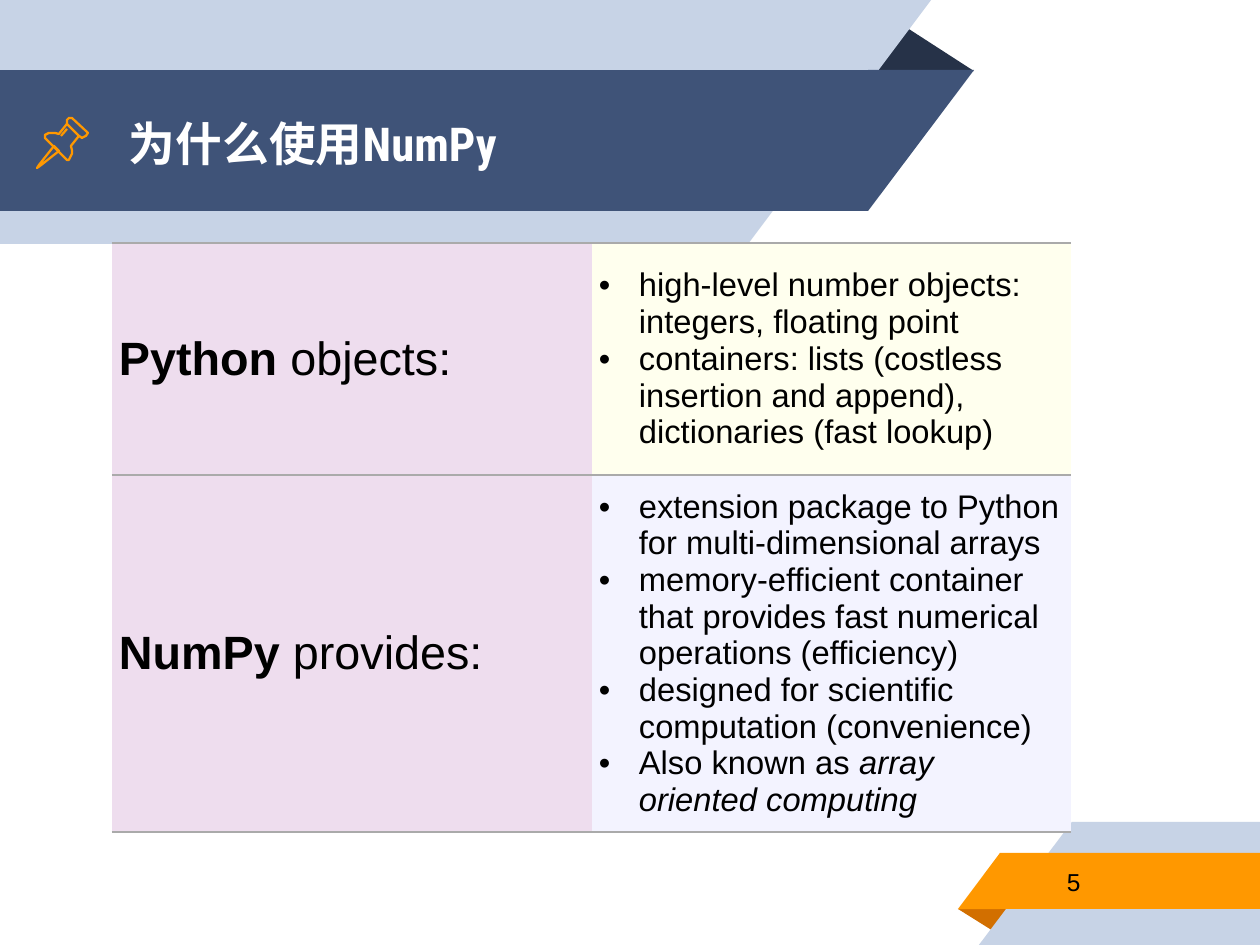
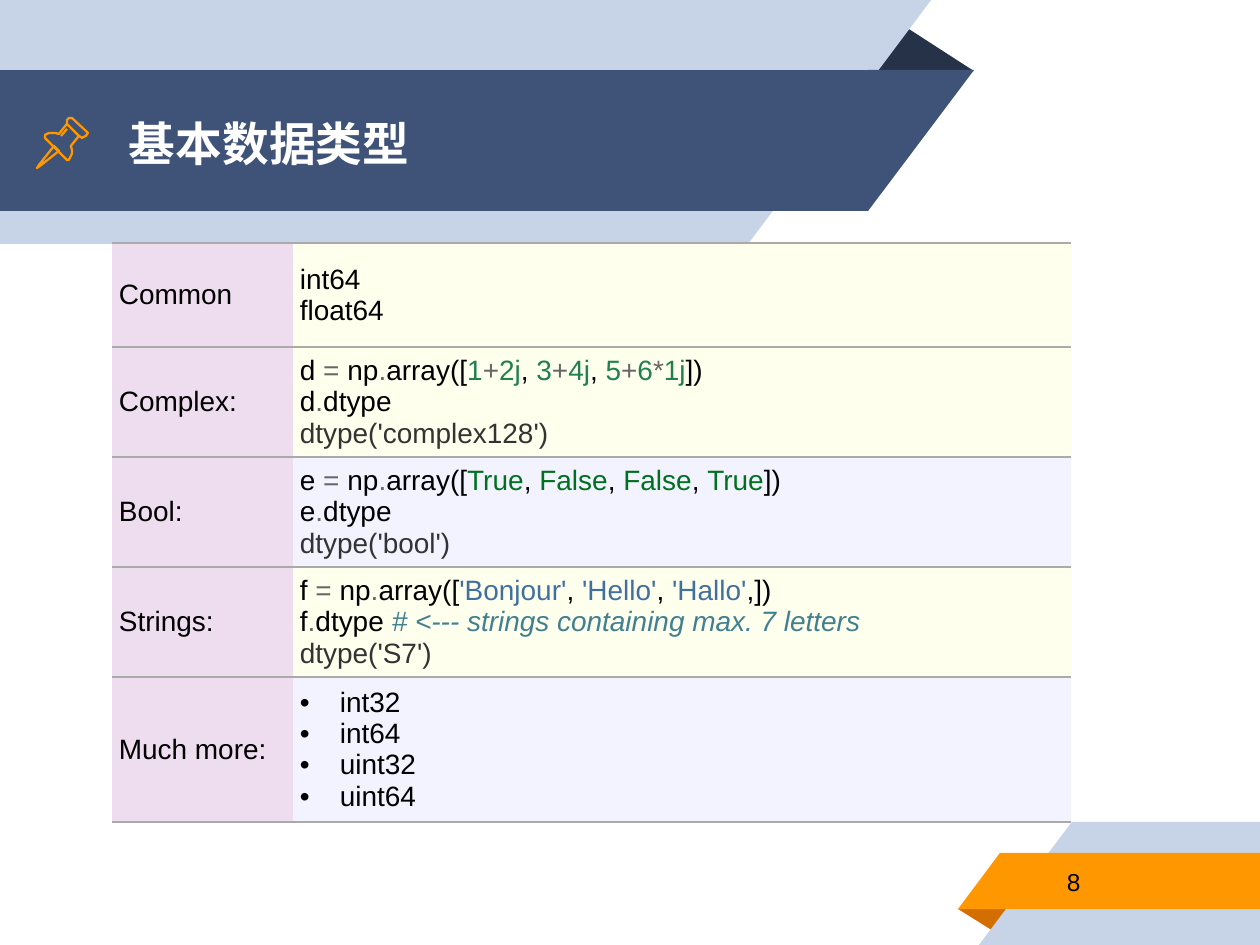
from dataclasses import dataclass, field
from itertools import groupby

from lxml import etree
from pptx import Presentation
from pptx import util as u
from pptx.dml.color import RGBColor
from pptx.enum import shapes, text
from pptx.oxml import ns

SCALE = 914400 / 168
WIDE, HIGH = 1260, 945
KIND = shapes.MSO_SHAPE


@dataclass(frozen=True)
class Theme:
    pale: str = "C7D3E6"
    navy: str = "3F5378"
    night: str = "263248"
    gold: str = "FF9800"
    rust: str = "D26F00"
    white: str = "FFFFFF"
    black: str = "000000"
    rule: str = "AAAAAA"
    pink: str = "EEDDEE"
    cream: str = "FFFFEE"
    lilac: str = "F3F3FF"
    head: str = "Roboto Condensed"
    body: str = "Arial"
    title: float = 20
    large: float = 14
    small: float = 12
    page: float = 10.5
    styles: dict = field(default_factory=lambda: {
        "bold": dict(bold=True),
        "slant": dict(slant=True),
        "sign": dict(color="666666"),
        "num": dict(color="208050"),
        "key": dict(color="007020"),
        "quote": dict(color="4070A0"),
        "out": dict(color="333333"),
        "note": dict(color="408090", slant=True),
    })


T = Theme()


def px(n):
    return u.Emu(round(n * SCALE))


def rgb(code):
    return RGBColor.from_string(code)


def write(frame, lines, size, font=T.body, color=T.black, bold=False,
          slant=False, bullet=False, inset=(17, 17, 17, 17)):
    """Fill a frame; a line is a string or a list of strings and (text, style) pairs."""
    frame.word_wrap = True
    for i, line in enumerate(lines):
        para = frame.paragraphs[0] if i == 0 else frame.add_paragraph()
        if bullet:
            props = para._p.get_or_add_pPr()
            props.set("marL", str(px(40)))
            props.set("indent", str(-px(40)))
            etree.SubElement(props, ns.qn("a:buFont"), typeface=T.body)
            etree.SubElement(props, ns.qn("a:buChar"), char="•")
        for part in [line] if isinstance(line, str) else line:
            words, style = (part, None) if isinstance(part, str) else part
            look = dict(color=color, bold=bold, slant=slant)
            look.update(T.styles.get(style, {}))
            run = para.add_run()
            run.text = words
            run.font.name, run.font.size = font, u.Pt(size)
            run.font.bold, run.font.italic = look["bold"], look["slant"]
            run.font.color.rgb = rgb(look["color"])
    return inset


def label(slide, box, words, **look):
    shape = slide.shapes.add_textbox(*map(px, box))
    frame = shape.text_frame
    left, top, right, low = write(frame, [words], **look)
    frame.margin_left, frame.margin_top = px(left), px(top)
    frame.margin_right, frame.margin_bottom = px(right), px(low)
    frame.vertical_anchor = text.MSO_ANCHOR.MIDDLE


def block(slide, kind, box, color, turn=0, flip=False, peak=None):
    shape = slide.shapes.add_shape(kind, *map(px, box))
    shape.shadow.inherit = False
    shape.fill.solid()
    shape.fill.fore_color.rgb = rgb(color)
    shape.line.fill.background()
    shape.rotation = turn
    if flip:
        shape.element.spPr.xfrm.set("flipH", "1")
    if peak is not None:
        shape.adjustments[0] = peak


def band(slide, box, slope, color, top):
    """Bar with one slanted end: at the right if it hangs from the top, else at the left."""
    x, y, w, h = box
    turn = 180 if top else 0
    flat, tip = (x, x + w - slope) if top else (x + slope, x)
    block(slide, KIND.RECTANGLE, (flat, y, w - slope, h), color, turn, True)
    block(slide, KIND.RIGHT_TRIANGLE, (tip, y, slope, h), color, turn, True)


def pin(slide, x, y):
    needle = [(17, 29), (2, 48), (0, 51), (3, 49), (22, 34)]
    cap = [(30, 7), (42, 19), (45, 21), (49, 19), (51, 16), (50, 15),
           (35, 1), (32, 1), (30, 3)]
    body = [(30, 7), (22, 17), (18, 16), (12, 16), (8, 18), (8, 21),
            (30, 43), (32, 43), (35, 37), (35, 33), (34, 29), (42, 19)]
    glint = [(24, 19), (30, 12)]
    for dots, close in (needle, True), (cap, True), (body, False), (glint, False):
        pen = slide.shapes.build_freeform(*dots[0], scale=SCALE)
        pen.add_line_segments(dots[1:], close=close)
        shape = pen.convert_to_shape(px(x), px(y))
        shape.shadow.inherit = False
        shape.fill.background()
        shape.line.color.rgb = rgb(T.gold)
        shape.line.width = u.Pt(0.96)


def header(slide, box, words):
    x, y, w, h = box
    block(slide, KIND.ISOSCELES_TRIANGLE, (x + w - 107, y + 24, 107, 47),
          T.night, peak=0.32)
    band(slide, (x, y, w - 43, h), 183, T.pale, True)
    band(slide, (x, y + 70, w, 141), 106, T.navy, True)
    pin(slide, x + 37, y + 117)
    label(slide, (x + 112, y + 72, 756, 141), words, size=T.title,
          font=T.head, color=T.white, bold=True)


def footer(slide, box, page):
    x, y, w, h = box
    block(slide, KIND.ISOSCELES_TRIANGLE, (x, y + 87, 54, 23), T.rust,
          turn=180, peak=0.32)
    band(slide, (x + 21, y, w - 21, h), 93, T.pale, False)
    band(slide, (x, y + 31, w, 56), 42, T.gold, False)
    label(slide, (x + 92, y + 30, 205, 59), page, size=T.page)


def edge(cell):
    """Rule a cell above and below only."""
    props = cell._tc.get_or_add_tcPr()
    for side in "LRTB":
        line = etree.SubElement(props, ns.qn("a:ln" + side), w=str(u.Pt(0.75)))
        if side in "LR":
            etree.SubElement(line, ns.qn("a:noFill"))
        else:
            fill = etree.SubElement(line, ns.qn("a:solidFill"))
            etree.SubElement(fill, ns.qn("a:srgbClr"), val=T.rule)


def fill_cell(cell, lines, color, **look):
    edge(cell)
    cell.fill.solid()
    cell.fill.fore_color.rgb = rgb(color)
    cell.vertical_anchor = text.MSO_ANCHOR.MIDDLE
    left, top, right, low = write(cell.text_frame, lines,
                                  inset=(7, 2, 10, 2), **look)
    cell.margin_left, cell.margin_top = px(left), px(top)
    cell.margin_right, cell.margin_bottom = px(right), px(low)


def grid(slide, box, first, rows, sizes):
    """Two columns; a row is (height, name, lines, colour, bullet)."""
    frame = slide.shapes.add_table(len(rows), 2, *map(px, box))
    table = frame.table
    table.first_row = table.horz_banding = False
    for col, wide in zip(table.columns, (first, box[2] - first)):
        col.width = px(wide)
    for i, (high, name, lines, color, bullet) in enumerate(rows):
        table.rows[i].height = px(high)
        fill_cell(table.cell(i, 0), [name], T.pink, size=sizes[0])
        fill_cell(table.cell(i, 1), lines, color, size=sizes[1], bullet=bullet)


def sums(words):
    """Split a sum into numbers and signs."""
    return [("".join(run), "sign" if sign else "num")
            for sign, run in groupby(words, lambda c: c in "+*")]


def code(var, items, kind, close="])", note=()):
    """Lines that make an array, ask for its type and show the reply."""
    make = [var + " ", ("= ", "sign"), "np", (".", "sign"), "array(["]
    for i, item in enumerate(items):
        make += [", "] * (i > 0) + item
    ask = [var, (".", "sign"), "dtype " if note else "dtype", *note]
    return [make + [close], ask, [(f"dtype('{kind}')", "out")]]


def build(deck, words, page, first, rows, sizes):
    slide = deck.slides.add_slide(deck.slide_layouts[6])
    header(slide, (0, 0, 974, 244), words)
    footer(slide, (958, 822, WIDE - 958, HIGH - 822), page)
    high = sum(row[0] for row in rows)
    grid(slide, (112, 243, 959, high), first, rows, sizes)


def main():
    deck = Presentation()
    deck.slide_width, deck.slide_height = px(WIDE), px(HIGH)

    reasons = [
        (232, [("Python", "bold"), " objects:"], [
            "high-level number objects: integers, floating point",
            "containers: lists (costless insertion and append), "
            "dictionaries (fast lookup)",
        ], T.cream, True),
        (346, [("NumPy", "bold"), " provides:"], [
            "extension package to Python for multi-dimensional arrays",
            "memory-efficient container that provides fast numerical "
            "operations (efficiency)",
            "designed for scientific computation (convenience)",
            ["Also known as ", ("array oriented computing", "slant")],
        ], T.lilac, True),
    ]
    build(deck, "为什么使用NumPy", "5", 480, reasons, (T.title, T.large))

    nums = [sums(s) for s in ("1+2j", "3+4j", "5+6*1j")]
    flags = [[(s, "key")] for s in ("True", "False", "False", "True")]
    greets = [[(s, "quote")] for s in ("'Bonjour'", "'Hello'", "'Hallo'")]
    note = [("# <--- strings containing max. 7 letters", "note")]
    types = [
        (104, "Common", ["int64", "float64"], T.cream, False),
        (110, "Complex:", code("d", nums, "complex128"), T.cream, False),
        (110, "Bool:", code("e", flags, "bool"), T.lilac, False),
        (110, "Strings:", code("f", greets, "S7", ",])", note), T.cream, False),
        (145, "Much more:", ["int32", "int64", "uint32", "uint64"],
         T.lilac, True),
    ]
    build(deck, "基本数据类型", "8", 181, types, (T.small, T.small))
    deck.save("out.pptx")


if __name__ == "__main__":
    main()
